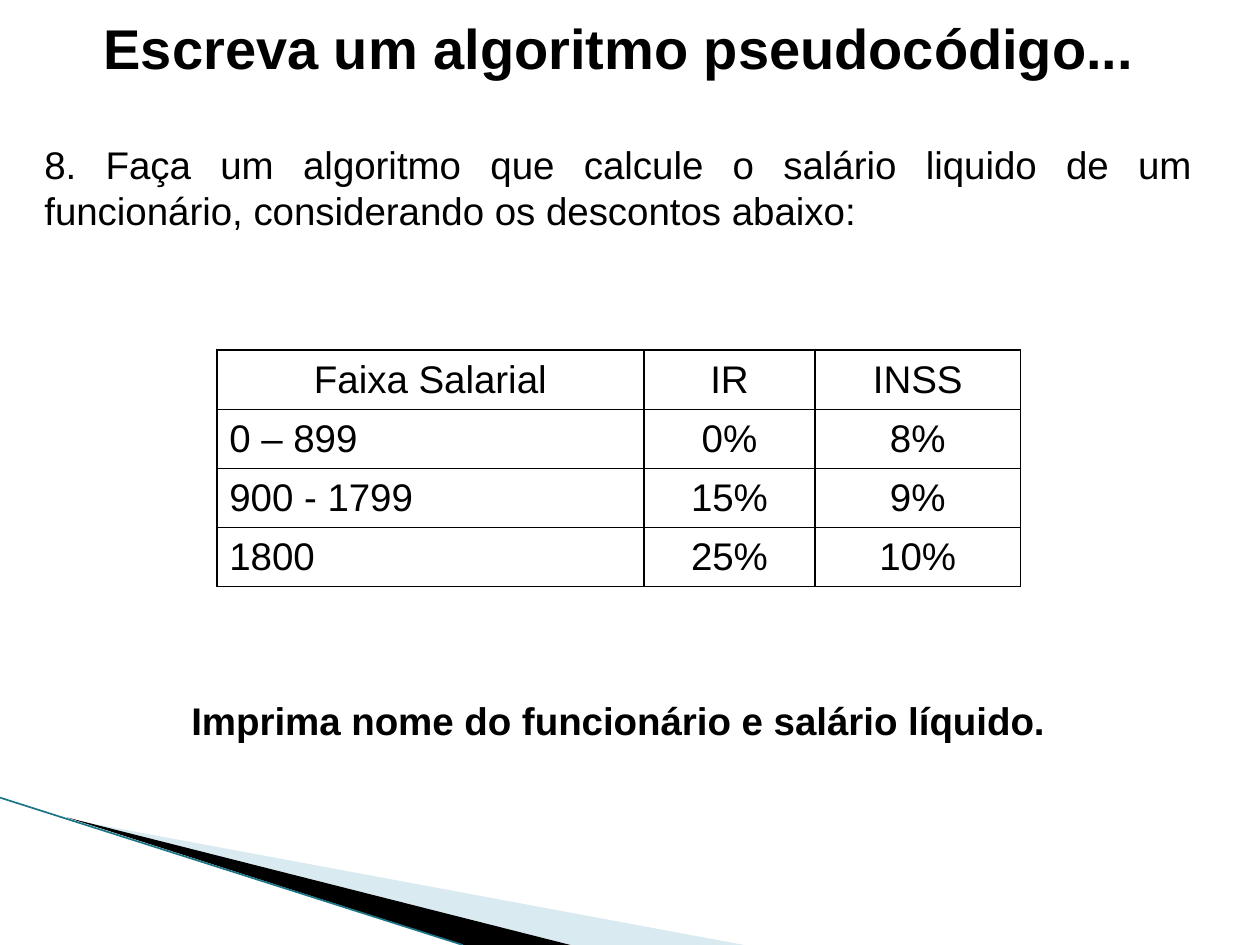
from lxml import etree
from pptx import Presentation
from pptx.dml.color import RGBColor
from pptx.enum.shapes import MSO_CONNECTOR
from pptx.enum.text import MSO_ANCHOR, MSO_AUTO_SIZE, PP_ALIGN
from pptx.oxml.ns import qn
from pptx.util import Cm, Pt

LEFT, CENTER, JUSTIFY = PP_ALIGN.LEFT, PP_ALIGN.CENTER, PP_ALIGN.JUSTIFY
TOP, MIDDLE = MSO_ANCHOR.TOP, MSO_ANCHOR.MIDDLE

COLORS = {"text": "000000", "wedge": "000000", "pale": "A0CBDC", "edge": "1B7587"}

TITLE = "Escreva um algoritmo pseudocódigo..."
# text, alignment, bold, space before in points
BODY = [
    ("8. Faça um algoritmo que calcule o salário liquido de um funcionário, "
     "considerando os descontos abaixo:", JUSTIFY, False, 0),
    ("Imprima nome do funcionário e salário líquido.", CENTER, True, 265),
]
ROWS = [
    ("Faixa Salarial", "IR", "INSS"),
    ("0 – 899", "0%", "8%"),
    ("900 - 1799", "15%", "9%"),
    ("1800", "25%", "10%"),
]
COL_WIDTHS = [8.61, 3.45, 4.14]
ROW_HEIGHT = 1.19

# fill, opacity in percent, corners in cm
WEDGES = [
    ("pale", 40, [(1.4, 16.52), (15, 19.05), (11.5, 19.05)]),
    ("wedge", 100, [(1.35, 16.48), (11.5, 19.05), (9.35, 19.05)]),
]
EDGE = [(0, 16.08), (9.33, 19.05)]


def rgb(name):
    return RGBColor.from_string(COLORS[name])


def write(p, text, align, size=22, bold=False, before=0):
    r = p.add_run()
    r.text = text
    paragraph_format = {"alignment": align, "space_before": Pt(before),
                        "space_after": Pt(0), "line_spacing": 1.0}
    for key, value in paragraph_format.items():
        setattr(p, key, value)
    for key, value in {"name": "Arial", "size": Pt(size), "bold": bold}.items():
        setattr(r.font, key, value)
    r.font.color.rgb = rgb("text")


def place(sp, left, top, width, height, anchor):
    sp.left, sp.top, sp.width, sp.height = map(Cm, (left, top, width, height))
    tf = sp.text_frame
    frame_format = {"word_wrap": True, "auto_size": MSO_AUTO_SIZE.NONE,
                    "vertical_anchor": anchor}
    for key, value in frame_format.items():
        setattr(tf, key, value)
    return tf


def add_wedge(s, color, opacity, corners):
    points = [(Cm(x), Cm(y)) for x, y in corners]
    builder = s.shapes.build_freeform(*points[0])
    builder.add_line_segments(points[1:])
    sp = builder.convert_to_shape()
    sp.shadow.inherit = False
    sp.fill.solid()
    sp.fill.fore_color.rgb = rgb(color)
    sp.line.fill.background()
    if opacity < 100:
        clr = sp.fill._xPr.find(".//" + qn("a:srgbClr"))
        etree.SubElement(clr, qn("a:alpha"), val=str(opacity * 1000))


def add_edge(s):
    line = s.shapes.add_connector(
        MSO_CONNECTOR.STRAIGHT, *[Cm(v) for point in EDGE for v in point])
    line.line.color.rgb = rgb("edge")
    line.line.width = Pt(0.95)
    etree.SubElement(line._element.spPr, qn("a:effectLst"))


def add_borders(cell):
    tcPr = cell._tc.get_or_add_tcPr()
    for side in ("lnL", "lnR", "lnT", "lnB"):
        ln = etree.SubElement(tcPr, qn("a:" + side), w=str(Pt(1)))
        fill = etree.SubElement(ln, qn("a:solidFill"))
        etree.SubElement(fill, qn("a:srgbClr"), val=COLORS["text"])


def add_discounts(s):
    table = s.shapes.add_table(
        len(ROWS), len(COL_WIDTHS), Cm(4.37), Cm(7.06),
        Cm(sum(COL_WIDTHS)), Cm(ROW_HEIGHT * len(ROWS))).table
    for column, width in zip(table.columns, COL_WIDTHS):
        column.width = Cm(width)
    for i, row in enumerate(ROWS):
        table.rows[i].height = Cm(ROW_HEIGHT)
        for j, text in enumerate(row):
            cell = table.cell(i, j)
            add_borders(cell)
            cell.fill.background()
            cell.vertical_anchor = MIDDLE
            write(cell.text_frame.paragraphs[0], text,
                  LEFT if i and not j else CENTER)


def main():
    prs = Presentation()
    prs.slide_width, prs.slide_height = Cm(25.4), Cm(19.05)
    s = prs.slides.add_slide(prs.slide_layouts[1])
    for wedge in WEDGES:
        add_wedge(s, *wedge)
    add_edge(s)

    tf = place(s.shapes.title, 0.18, 0.13, 24.61, 1.63, MIDDLE)
    write(tf.paragraphs[0], TITLE, CENTER, size=32, bold=True)

    tf = place(s.placeholders[1], 0.64, 2.72, 23.65, 12.47, TOP)
    for i, (text, align, bold, before) in enumerate(BODY):
        p = tf.add_paragraph() if i else tf.paragraphs[0]
        pPr = p._p.get_or_add_pPr()
        pPr.set("marL", "0")
        pPr.set("indent", "0")
        etree.SubElement(pPr, qn("a:buNone"))
        write(p, text, align, bold=bold, before=before)

    add_discounts(s)
    prs.save("out.pptx")


if __name__ == "__main__":
    main()
